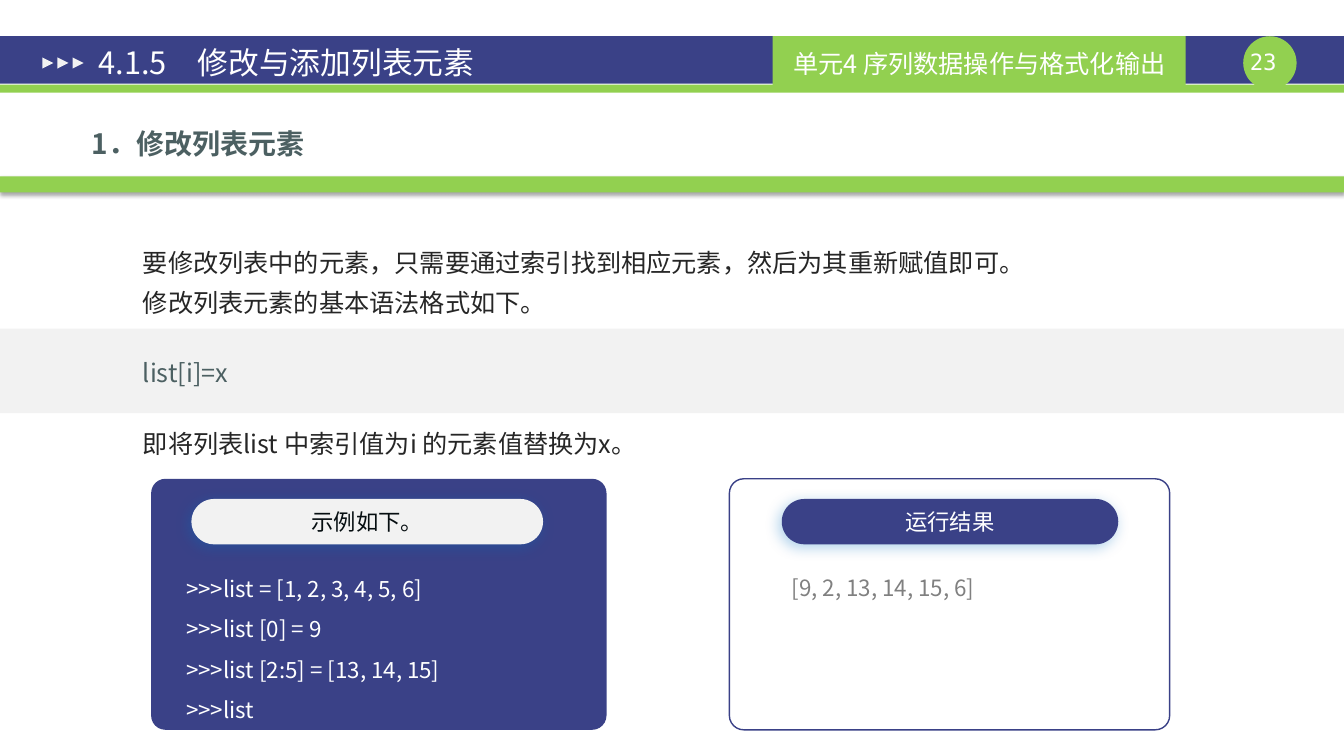
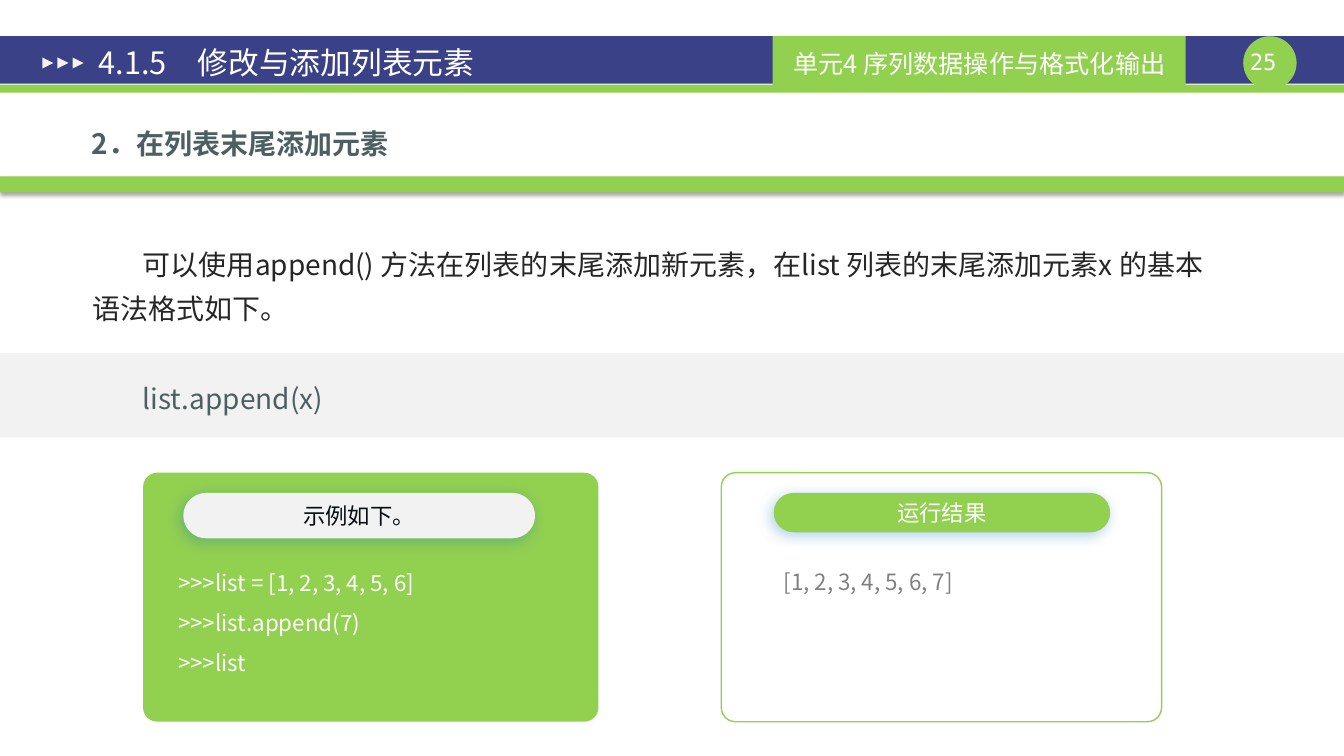
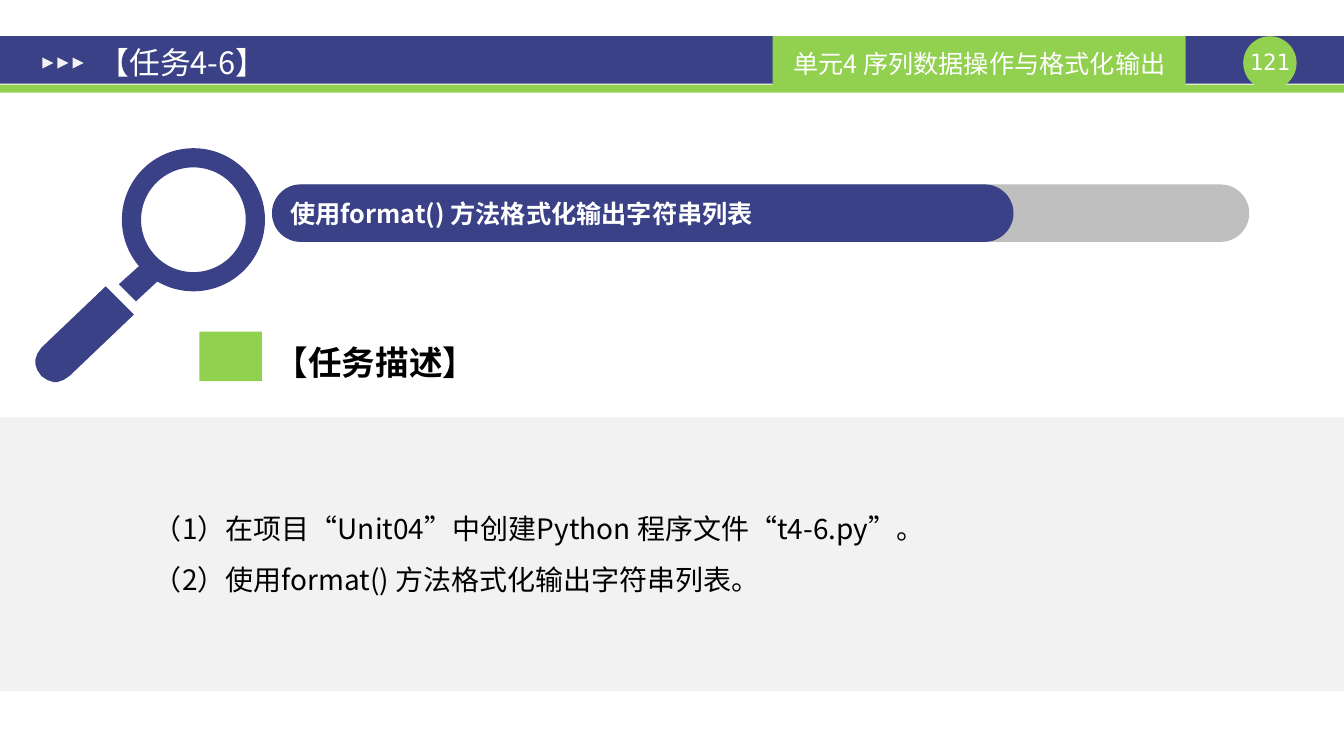
from math import cos, radians, sin

from lxml.etree import SubElement
from pptx import Presentation
from pptx.dml.color import RGBColor
from pptx.enum.shapes import MSO_SHAPE as SHAPE
from pptx.enum.text import MSO_ANCHOR as ANCHOR, PP_ALIGN as ALIGN
from pptx.oxml.ns import qn
from pptx.util import Pt

PX = 9144  # EMU per px, 100 px to the inch
WIDTH, HEIGHT = 1334, 750

NAVY = RGBColor(0x3A, 0x41, 0x87)
GREEN = RGBColor(0x92, 0xD0, 0x50)
PALE = RGBColor(0xF2, 0xF2, 0xF2)
SILVER = RGBColor(0xBF, 0xBF, 0xBF)
GREY = RGBColor(0x80, 0x80, 0x80)
SLATE = RGBColor(0x4C, 0x60, 0x62)
INK = RGBColor(0x26, 0x26, 0x26)
DARK = RGBColor(0x06, 0x0E, 0x11)
BLACK = RGBColor(0, 0, 0)
WHITE = RGBColor(0xFF, 0xFF, 0xFF)

SANS, MONO = "Noto Sans CJK SC", "DejaVu Sans Mono"
UNIT = "单元4 序列数据操作与格式化输出"

# Shadows: colour, opacity in %, blur and distance in points, angle
BAR_SHADOW = ("000000", 35, 3.1, 1.8, 90)
PILL_SHADOW = ("0070C0", 30, 10, 3, 135)


class Deck:
    def __init__(self):
        self.prs = Presentation()
        self.prs.slide_width, self.prs.slide_height = WIDTH * PX, HEIGHT * PX
        self.slide = None

    # Elements
    def shape(self, kind, x, y, w, h, fill=None, line=None, adj=None, shadow=None):
        shape = self.slide.shapes.add_shape(kind, x * PX, y * PX, w * PX, h * PX)
        if adj is not None:
            shape.adjustments[0] = adj
        return self.paint(shape, fill, line, shadow)

    def paint(self, shape, fill, line=None, shadow=None):
        shape.shadow.inherit = False
        if fill is None:
            shape.fill.background()
        else:
            shape.fill.solid()
            shape.fill.fore_color.rgb = fill
        if line is None:
            shape.line.fill.background()
        else:
            shape.line.color.rgb = line
            shape.line.width = Pt(1)
        if shadow:
            color, opacity, blur, distance, angle = shadow
            effects = shape._element.spPr.find(qn("a:effectLst"))
            outer = SubElement(effects, qn("a:outerShdw"), {
                "blurRad": str(Pt(blur)), "dist": str(Pt(distance)),
                "dir": str(angle * 60000), "rotWithShape": "0"})
            tint = SubElement(outer, qn("a:srgbClr"), val=color)
            SubElement(tint, qn("a:alpha"), val=str(opacity * 1000))
        return shape

    def band(self, y, h, fill, shadow=None):
        self.shape(SHAPE.RECTANGLE, 0, y, WIDTH, h, fill, shadow=shadow)

    def pill(self, x, y, w, h, fill, shadow=None):
        return self.shape(SHAPE.ROUNDED_RECTANGLE, x, y, w, h, fill, adj=0.5, shadow=shadow)

    def polygon(self, points, fill):
        start, *others = points
        builder = self.slide.shapes.build_freeform(*start, scale=PX)
        builder.add_line_segments(others)
        self.paint(builder.convert_to_shape(), fill)

    def label(self, shape, lines, size, color, bold=False, font=SANS, align=ALIGN.LEFT,
              anchor=ANCHOR.MIDDLE, spacing=None, indent=0, gaps=(), colors=()):
        """Fill a shape with paragraphs; gaps and colors are set per line."""
        frame = shape.text_frame
        frame.word_wrap, frame.vertical_anchor = True, anchor
        for i, line in enumerate(lines):
            paragraph = frame.paragraphs[0] if i == 0 else frame.add_paragraph()
            layout = {"alignment": align, "line_spacing": Pt(spacing) if spacing else None,
                      "space_before": Pt(gaps[i] if gaps else 0)}
            for key, value in layout.items():
                setattr(paragraph, key, value)
            if indent:
                paragraph._p.get_or_add_pPr().set("indent", str(indent * PX))
            run = paragraph.add_run()
            run.text = line
            for key, value in {"name": font, "size": Pt(size), "bold": bold}.items():
                setattr(run.font, key, value)
            run.font.color.rgb = colors[i] if colors else color
            SubElement(run._r.get_or_add_rPr(), qn("a:ea"), typeface=font)
        return frame

    def text(self, x, y, w, h, lines, size, color, anchor=ANCHOR.TOP, **style):
        box = self.slide.shapes.add_textbox(x * PX, y * PX, w * PX, h * PX)
        return self.label(box, lines, size, color, anchor=anchor, **style)

    # Shared parts
    def new_slide(self, title, number):
        self.slide = self.prs.slides.add_slide(self.prs.slide_layouts[6])
        self.band(36, 47, NAVY)
        self.band(84, 8, GREEN)
        self.shape(SHAPE.OVAL, 1234, 36, 53, 53, GREEN)
        page = self.text(1234, 48, 53, 27, [f"{number} "], 16, WHITE,
                         font=MONO, align=ALIGN.CENTER)
        for side in ("left", "right", "top", "bottom"):
            setattr(page, f"margin_{side}", 0)
        unit = self.shape(SHAPE.RECTANGLE, 767, 36, 410, 54, GREEN)
        self.label(unit, [UNIT], 18, WHITE, align=ALIGN.CENTER)
        for i in range(3):
            arrow = self.shape(SHAPE.ISOSCELES_TRIANGLE, 42 + 15 * i, 57, 11, 11, PALE)
            arrow.rotation = 90
        heading = self.text(85, 40, 720, 44, [title], 22, WHITE, anchor=ANCHOR.MIDDLE)
        heading.margin_left = heading.margin_right = 13 * PX

    def topic(self, heading, band_y):
        self.band(band_y, 84, PALE)
        self.band(175, 16, GREEN, BAR_SHADOW)
        self.text(31, 109, 1248, 50, [heading], 20, SLATE, bold=True, spacing=32, indent=50)

    def body(self, lines, size, **style):
        self.text(82, 231, 1144, 200, lines, size, INK, indent=50, **style)

    def example(self, x, y, h, color, code, output, result_h):
        """Code card on the left, result card on the right."""
        right = x + 574
        self.shape(SHAPE.ROUNDED_RECTANGLE, x, y, 452, h, color, adj=0.057)
        self.shape(SHAPE.ROUNDED_RECTANGLE, right, y, 437, h, line=color, adj=0.057)
        self.text(x + 25, y + 78, 431, 172, code, 16, WHITE, spacing=28.6)
        self.text(right + 52, y + 77, 376, 46, [output], 16, GREY, spacing=28.6)
        for caption, left, w, pill_h, fill, ink in (
                ("示例如下。", x + 40, 349, 45, PALE, DARK),
                ("运行结果", right + 52, 334, result_h, color, WHITE)):
            pill = self.pill(left, y + 20, w, pill_h, fill, PILL_SHADOW)
            self.label(pill, [caption], 16, ink, align=ALIGN.CENTER)

    def magnifier(self):
        self.polygon([(163, 273), (135, 299), (118, 282), (147, 256)], NAVY)
        self.shape(SHAPE.DONUT, 121, 147, 142, 142, NAVY, adj=0.134)
        # Handle with a round end
        angles = [radians(a) for a in range(225, 44, -10)]
        end = [(round(55 + 20 * cos(a)), round(359 + 20 * sin(a))) for a in angles]
        self.polygon([(105, 284), *end, (133, 312)], NAVY)


def main():
    deck = Deck()
    section = "4.1.5　修改与添加列表元素"

    # Changing list elements
    deck.new_slide(section, 23)
    deck.topic("1．修改列表元素", 326)
    deck.body(["要修改列表中的元素，只需要通过索引找到相应元素，然后为其重新赋值即可。",
               "修改列表元素的基本语法格式如下。",
               "list[i]=x",
               "即将列表list 中索引值为i 的元素值替换为x。"],
              18, spacing=28.6, gaps=(0, 0, 21.5, 21.5), colors=(INK, INK, SLATE, INK))
    deck.example(150, 475, 249, NAVY,
                 [">>>list = [1, 2, 3, 4, 5, 6]", ">>>list [0] = 9",
                  ">>>list [2:5] = [13, 14, 15]", ">>>list"],
                 "[9, 2, 13, 14, 15, 6]", 45)

    # Appending to a list
    deck.new_slide(section, 25)
    deck.topic("2．在列表末尾添加元素", 350)
    deck.body(["可以使用append() 方法在列表的末尾添加新元素，"
               "在list 列表的末尾添加元素x 的基本语法格式如下。",
               "list.append(x)"],
              20, spacing=31.2, gaps=(0, 33), colors=(INK, SLATE))
    deck.example(142, 469, 247, GREEN,
                 [">>>list = [1, 2, 3, 4, 5, 6]", ">>>list.append(7)", ">>>list"],
                 "[1, 2, 3, 4, 5, 6, 7]", 39)

    # Task
    deck.new_slide("【任务4-6】", 121)
    deck.band(414, 272, PALE)
    deck.pill(270, 183, 970, 57, SILVER)
    goal = deck.pill(270, 183, 736, 57, NAVY)
    deck.label(goal, ["使用format() 方法格式化输出字符串列表"], 18, WHITE, bold=True)
    deck.magnifier()
    deck.shape(SHAPE.RECTANGLE, 198, 329, 62, 49, GREEN)
    deck.text(263, 331, 246, 50, ["【任务描述】"], 24, BLACK, bold=True, spacing=31)
    deck.text(143, 485, 1049, 105,
              ["（1）在项目“Unit04”中创建Python 程序文件“t4-6.py”。",
               "（2）使用format() 方法格式化输出字符串列表。"],
              20, BLACK, spacing=36.5)

    deck.prs.save("out.pptx")


if __name__ == "__main__":
    main()
